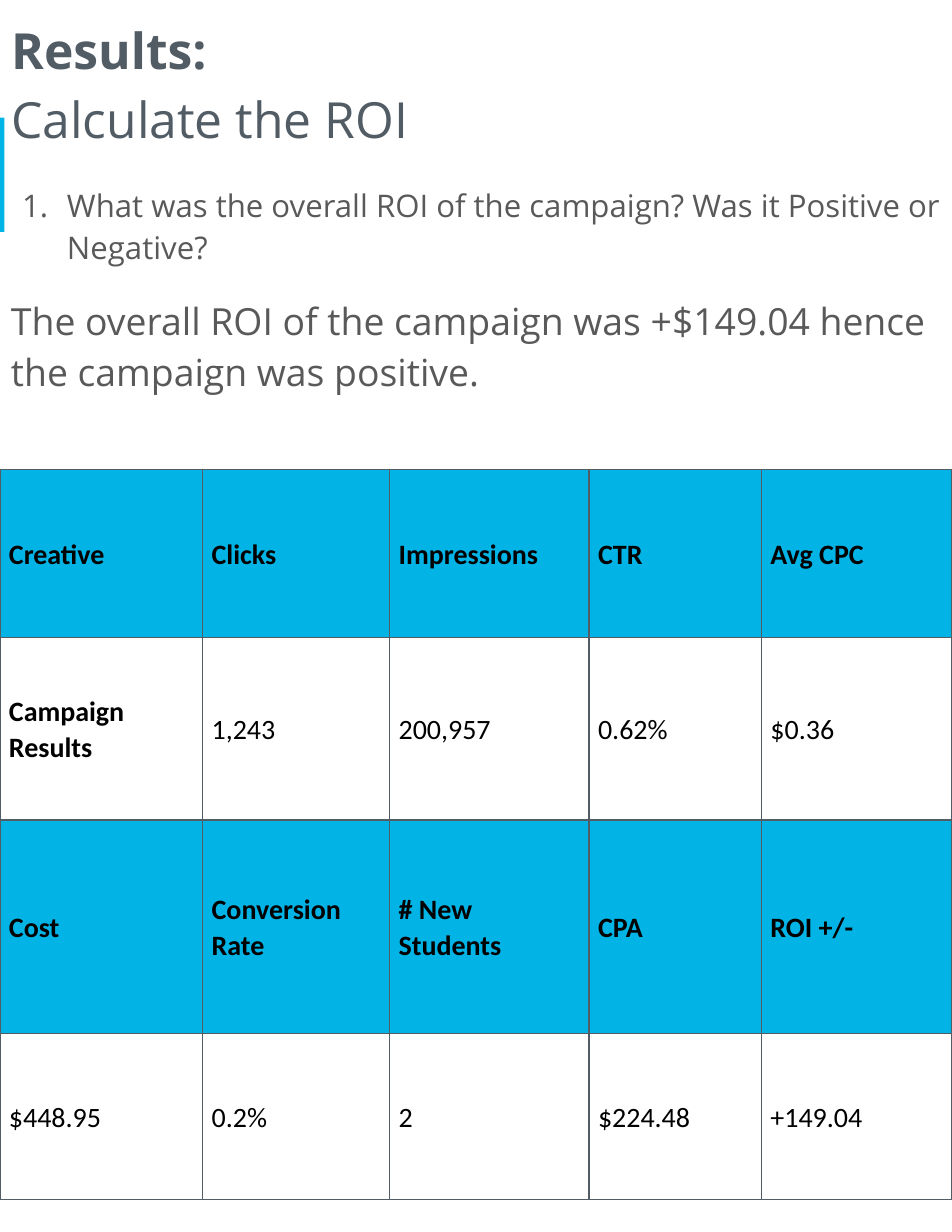
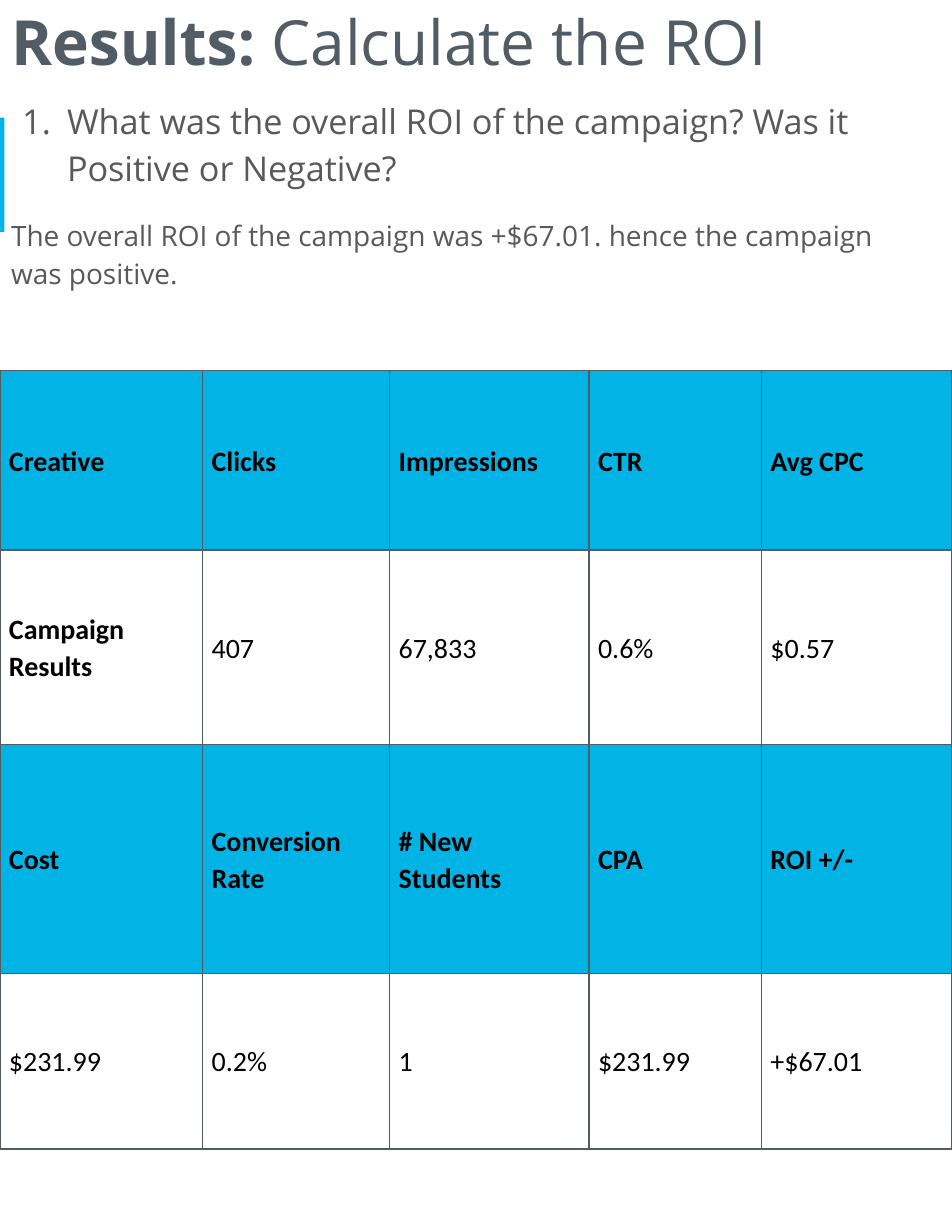
"""Build two campaign result slides, each with a question, an answer and a table."""
from lxml import etree
from pptx import Presentation
from pptx import util as u
from pptx.dml.color import RGBColor
from pptx.enum import shapes, text
from pptx.oxml import ns

BLUE, SLATE, GREY, BLACK = "02B4E5", "525C65", "595959", "000000"
HEADS = ["Creative", "Clicks", "Impressions", "CTR", "Avg CPC"]
COSTS = ["Cost", "Conversion Rate", "# New Students", "CPA", "ROI +/-"]
WIDTHS = [1.81, 1.67, 1.78, 1.54, 1.7]
ASK = "What was the overall ROI of the campaign? Was it Positive or Negative?"

PAGES = [
    dict(lead="Results:", split=True, head=(0, 0.94), size=32,
         body=(1.51, 8.5, 2.68), sizes=(20, 24),
         answer="The overall ROI of the campaign was +$149.04 hence the campaign was positive.",
         top=4.19, rows=[1.5, 1.63, 1.91, 1.48],
         stats=["Campaign Results", "1,243", "200,957", "0.62%", "$0.36"],
         costs=["$448.95", "0.2%", "2", "$224.48", "+149.04"]),
    dict(lead="Results: ", split=False, head=(-0.17, 1.22), size=40,
         body=(0.74, 7.98, 2.24), sizes=(22, 18),
         answer="The overall ROI of the campaign was +$67.01. hence the campaign was positive.",
         top=3.31, rows=[1.6, 1.74, 2.04, 1.57],
         stats=["Campaign Results", "407", "67,833", "0.6%", "$0.57"],
         costs=["$231.99", "0.2%", "1", "$231.99", "+$67.01"]),
]


def hue(code):
    """Turn a hex string into a colour."""
    return RGBColor.from_string(code)


def style(para, size, face, code, bold, gap=1.15):
    """Format a paragraph and all its runs."""
    para.alignment = text.PP_ALIGN.LEFT
    para.line_spacing = gap
    for run in para.runs:
        run.font.size, run.font.name = u.Pt(size), face
        run.font.color.rgb, run.font.bold = hue(code), bold


deck = Presentation()
deck.slide_width, deck.slide_height = u.Inches(8.5), u.Inches(11)
plan = deck.slide_layouts[5]

for page in PAGES:
    slide = deck.slides.add_slide(plan)
    if page is PAGES[0]:
        bar = slide.shapes.add_shape(shapes.MSO_SHAPE.RECTANGLE, 0, u.Inches(1.05),
                                     u.Inches(0.04), u.Inches(1.02))
        bar.shadow.inherit = False
        bar.fill.solid()
        bar.fill.fore_color.rgb = hue(BLUE)
        bar.line.fill.background()
        plan.shapes.element.append(bar.element)

    title = slide.shapes.title
    top, height = page["head"]
    title.left, title.top = 0, u.Inches(top)
    title.width, title.height = u.Inches(7.92), u.Inches(height)
    top, width, height = page["body"]
    body = slide.shapes.add_textbox(0, u.Inches(top), u.Inches(width), u.Inches(height))
    for frame in (title.text_frame, body.text_frame):
        frame.word_wrap = True
        frame.auto_size = text.MSO_AUTO_SIZE.NONE
        frame.vertical_anchor = text.MSO_ANCHOR.TOP
        frame.margin_left = frame.margin_right = u.Inches(0.1)
        frame.margin_top = frame.margin_bottom = u.Inches(0.1)

    frame = title.text_frame
    frame.text = page["lead"]
    first = frame.paragraphs[0]
    last = frame.add_paragraph() if page["split"] else first
    last.add_run().text = "Calculate the ROI"
    for para in frame.paragraphs:
        style(para, page["size"], "Open Sans", SLATE, True)
        para.space_before = u.Pt(0)
    last.runs[-1].font.bold = False

    body.text_frame.text = ASK + "\n" + page["answer"]
    ask, answer = body.text_frame.paragraphs
    props = ask._p.get_or_add_pPr()
    props.set("marL", str(u.Inches(0.5)))
    props.set("indent", str(u.Inches(-0.4)))
    tint = etree.SubElement(props, ns.qn("a:buClr"))
    etree.SubElement(tint, ns.qn("a:srgbClr"), val=GREY)
    etree.SubElement(props, ns.qn("a:buFont"), typeface="Open Sans")
    etree.SubElement(props, ns.qn("a:buAutoNum"), type="arabicPeriod")
    for para, size in zip((ask, answer), page["sizes"]):
        style(para, size, "Open Sans", GREY, False)
    answer.space_before = answer.space_after = u.Pt(16)

    grid = [HEADS, page["stats"], COSTS, page["costs"]]
    table = slide.shapes.add_table(len(grid), len(HEADS), 0, u.Inches(page["top"]), u.Inches(8.5),
                                   u.Inches(sum(page["rows"]))).table
    table.first_row = table.horz_banding = False
    for col, width in zip(table.columns, WIDTHS):
        col.width = u.Inches(width)
    for r, (row, height) in enumerate(zip(table.rows, page["rows"])):
        row.height = u.Inches(height)
        for c, cell in enumerate(row.cells):
            cell.text_frame.text = grid[r][c]
            cell.vertical_anchor = text.MSO_ANCHOR.MIDDLE
            cell.margin_left = cell.margin_right = u.Inches(0.08)
            cell.margin_top = cell.margin_bottom = u.Inches(0.19)
            para = cell.text_frame.paragraphs[0]
            shaded = r % 2 == 0
            style(para, 18, "Calibri", BLACK, shaded or (r, c) == (1, 0), 1.07)
            para.space_after = u.Pt(8)
            props = cell._tc.get_or_add_tcPr()
            for side in ("lnL", "lnR", "lnT", "lnB"):
                edge = etree.SubElement(props, ns.qn("a:" + side), w=str(u.Pt(1)))
                paint = etree.SubElement(edge, ns.qn("a:solidFill"))
                etree.SubElement(paint, ns.qn("a:srgbClr"), val=SLATE)
            if shaded:
                cell.fill.solid()
                cell.fill.fore_color.rgb = hue(BLUE)
            else:
                cell.fill.background()

deck.save("out.pptx")
